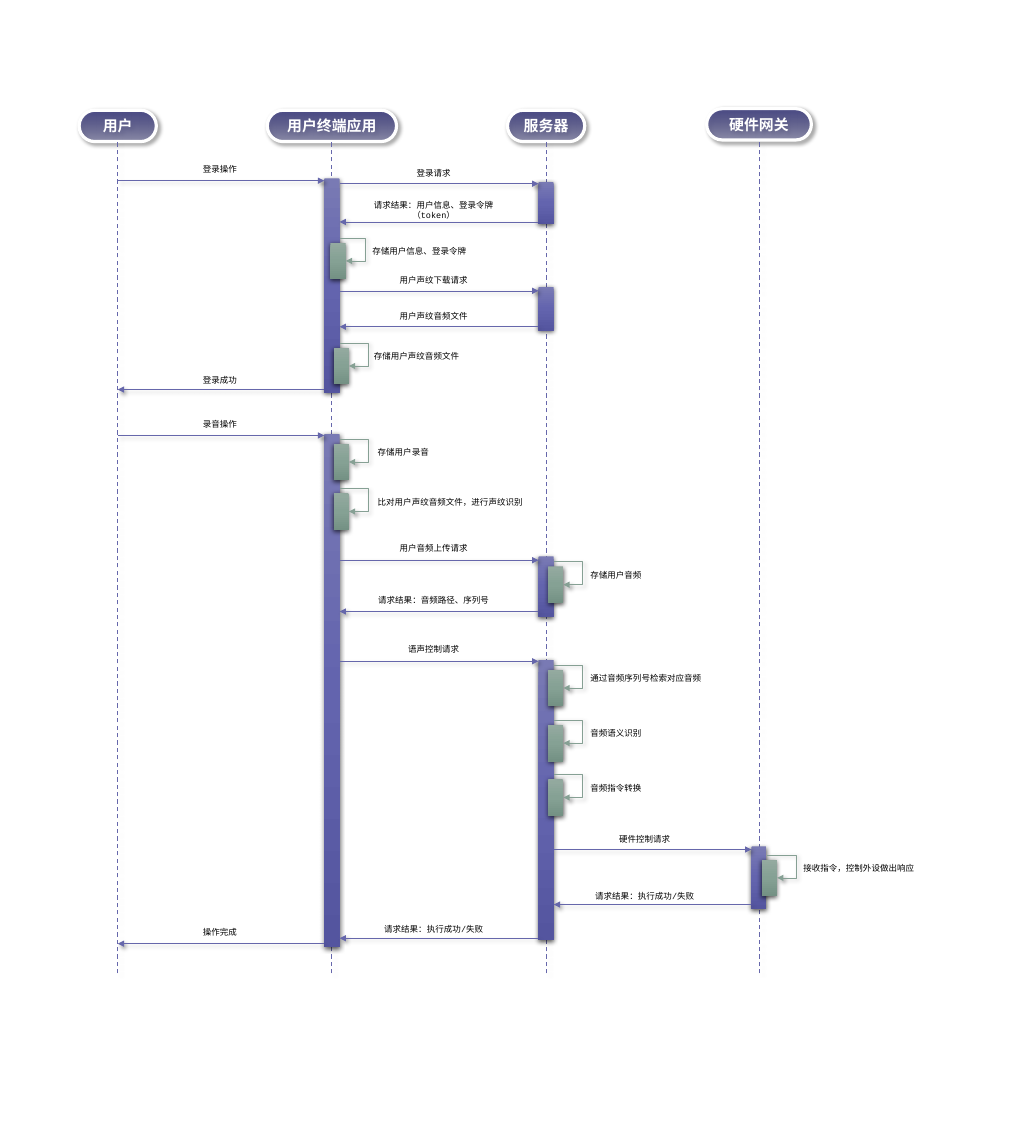
from dataclasses import dataclass

from lxml import etree
from pptx import Presentation
from pptx.dml.color import RGBColor
from pptx.enum import dml, shapes, text
from pptx.oxml.ns import qn
from pptx.util import Pt


@dataclass(frozen=True)
class Theme:
    font: str = "Courier New"
    header_size: float = 14
    label_size: float = 8
    white: str = "FFFFFF"
    ink: str = "000000"
    message: str = "6667AB"
    loop: str = "86A094"
    header_stops: tuple = ((0, "494984", 100), (100, "494984", 47))
    bar_stops: tuple = ((0, "797AB4", 100), (50, "6364AE", 100), (100, "54559F", 100))
    step_stops: tuple = ((0, "94AAA0", 100), (50, "85A194", 100), (100, "749184", 100))
    soft_shadow: tuple = (40, 4, 3, 45)
    bar_shadow: tuple = (63, 4.5, 1.5, 90)


@dataclass(frozen=True)
class Lane:
    name: str
    x: float
    top: float
    width: float
    label_dx: float = 0
    half: float = 7.2


T = Theme()
USER = Lane("用户", 110.8, 103.7, 72.7, 31.5, 0)
APP = Lane("用户终端应用", 312.4, 103.7, 121.7, 31)
SERVER = Lane("服务器", 514, 103.7, 72.7, 28)
GATEWAY = Lane("硬件网关", 714.4, 102.2, 98.6)
LANES = [USER, APP, SERVER, GATEWAY]
LANE_END = 915.8
HEADER_H = 29.5
BAR_W, STEP_H = 14.4, 34.6
LOOP_OUT, LOOP_RISE = 18, 4.3

BARS = [
    (APP, 167.8, 201.6),
    (APP, 408.2, 483.1),
    (SERVER, 171.4, 39.6),
    (SERVER, 270, 41),
    (SERVER, 523.4, 56.9),
    (SERVER, 620.6, 264.2),
    (GATEWAY, 796.3, 59),
]

MESSAGES = [
    (USER, APP, 170, 151.2, "登录操作"),
    (APP, SERVER, 172.8, 154.1, "登录请求"),
    (SERVER, APP, 208.8, 184.3, "请求结果：用户信息、登录令牌（token）"),
    (APP, SERVER, 273.6, 254.9, "用户声纹下载请求"),
    (SERVER, APP, 307.4, 288.7, "用户声纹音频文件"),
    (APP, USER, 366.5, 349.2, "登录成功"),
    (USER, APP, 409.7, 391, "录音操作"),
    (APP, SERVER, 527, 506.9, "用户音频上传请求"),
    (SERVER, APP, 575.3, 556.6, "请求结果：音频路径、序列号"),
    (APP, SERVER, 622.1, 601.9, "语声控制请求"),
    (SERVER, GATEWAY, 799.2, 781.2, "硬件控制请求"),
    (GATEWAY, SERVER, 851, 834.5, "请求结果：执行成功/失败"),
    (SERVER, APP, 882.7, 865.4, "请求结果：执行成功/失败"),
    (APP, USER, 887.8, 868.3, "操作完成"),
]

STEPS = [
    (APP, 228.2, -1.4, 31, "存储用户信息、登录令牌"),
    (APP, 327, 1.6, 32.4, "存储用户声纹音频文件"),
    (APP, 417.4, 1.6, 36, "存储用户录音"),
    (APP, 463.9, 1.6, 36, "比对用户声纹音频文件，进行声纹识别"),
    (SERVER, 532.8, 1.8, 34.6, "存储用户音频"),
    (SERVER, 630, 1.8, 34.6, "通过音频序列号检索对应音频"),
    (SERVER, 681.8, 1.8, 34.6, "音频语义识别"),
    (SERVER, 733, 1.8, 34.6, "音频指令转换"),
    (GATEWAY, 808.6, 2.6, 34.6, "接收指令，控制外设做出响应"),
]


def sub(parent, tag, **attrs):
    return etree.SubElement(parent, qn(tag), {k: str(v) for k, v in attrs.items()})


def add_color(parent, color, alpha):
    clr = sub(parent, "a:srgbClr", val=color)
    if alpha < 100:
        sub(clr, "a:alpha", val=alpha * 1000)


def add_shadow(effects, shadow):
    alpha, blur, dist, angle = shadow
    outer = sub(effects, "a:outerShdw", blurRad=Pt(blur), dist=Pt(dist),
                dir=angle * 60000, algn="ctr", rotWithShape=0)
    add_color(outer, T.ink, alpha)


def write(tf, content, size=T.label_size, color=T.ink, bold=False,
          align=text.PP_ALIGN.CENTER):
    p = tf.paragraphs[0]
    p.alignment = align
    r = p.add_run()
    r.text = content
    r.font.name = T.font
    r.font.size = Pt(size)
    r.font.bold = bold
    r.font.color.rgb = RGBColor.from_string(color)


def add_label(s, x, y, w, content, **fmt):
    sp = s.shapes.add_textbox(Pt(x), Pt(y), Pt(w), Pt(17.3))
    sp.text_frame.word_wrap = True
    sp.text_frame.auto_size = text.MSO_AUTO_SIZE.SHAPE_TO_FIT_TEXT
    write(sp.text_frame, content, **fmt)


def add_block(s, x, y, w, h, stops, shadow, radius=0.062):
    sp = s.shapes.add_shape(shapes.MSO_SHAPE.ROUNDED_RECTANGLE,
                            Pt(x), Pt(y), Pt(w), Pt(h))
    sp.adjustments[0] = radius
    sp.fill.gradient()
    sp.fill.gradient_angle = 270
    gradient = sp.element.spPr.find(qn("a:gradFill")).find(qn("a:gsLst"))
    for stop in list(gradient):
        gradient.remove(stop)
    for pos, color, alpha in stops:
        add_color(sub(gradient, "a:gs", pos=pos * 1000), color, alpha)
    sp.line.fill.background()
    sp.shadow.inherit = False
    add_shadow(sp.element.spPr.find(qn("a:effectLst")), shadow)
    return sp


def add_line(s, x1, y1, x2, y2, color=T.message, width=0.5, arrow=True,
             kind=shapes.MSO_CONNECTOR.STRAIGHT):
    c = s.shapes.add_connector(kind, Pt(x1), Pt(y1), Pt(x2), Pt(y2))
    c.line.color.rgb = RGBColor.from_string(color)
    c.line.width = Pt(width)
    if arrow:
        sub(c.line._get_or_add_ln(), "a:tailEnd", type="triangle")
    add_shadow(sub(c.element.spPr, "a:effectLst"), T.soft_shadow)
    return c


def add_lane(s, lane):
    sp = add_block(s, lane.x - lane.width / 2, lane.top, lane.width, HEADER_H,
                   T.header_stops, T.soft_shadow, radius=0.5)
    sp.line.color.rgb = RGBColor.from_string(T.white)
    sp.line.width = Pt(3)
    sp.text_frame.vertical_anchor = text.MSO_ANCHOR.MIDDLE
    write(sp.text_frame, lane.name, size=T.header_size, color=T.white, bold=True)
    c = add_line(s, lane.x, LANE_END, lane.x, lane.top + HEADER_H,
                 width=1, arrow=False)
    c.line.dash_style = dml.MSO_LINE.DASH
    c.end_connect(sp, 2)


def add_message(s, source, target, y, label_y, content):
    way = 1 if source.x < target.x else -1
    add_line(s, source.x + way * source.half, y, target.x - way * target.half, y)
    left = min(source, target, key=lambda lane: lane.x)
    add_label(s, left.x + left.label_dx, label_y, 129.6, content)


def add_step(s, lane, y, dx, label_dx, content):
    x, start = lane.x + dx, lane.x + lane.half
    sp = add_block(s, x, y, BAR_W, STEP_H, T.step_stops, T.bar_shadow)
    end = x + BAR_W
    c = add_line(s, start, y - LOOP_RISE, end, y + STEP_H / 2, color=T.loop,
                 kind=shapes.MSO_CONNECTOR.ELBOW)
    c.end_connect(sp, 3)
    bend = round((end + LOOP_OUT - start) / (end - start) * 100000)
    guides = c.element.spPr.find(qn("a:prstGeom")).find(qn("a:avLst"))
    sub(guides, "a:gd", name="adj1", fmla=f"val {bend}")
    add_label(s, lane.x + label_dx, y, 153.4, content, align=text.PP_ALIGN.JUSTIFY)


def main():
    prs = Presentation()
    prs.slide_width, prs.slide_height = Pt(960), Pt(1080)
    s = prs.slides.add_slide(prs.slide_layouts[6])
    for lane in LANES:
        add_lane(s, lane)
    for lane, y, h in BARS:
        add_block(s, lane.x - lane.half, y, BAR_W, h, T.bar_stops, T.bar_shadow)
    for message in MESSAGES:
        add_message(s, *message)
    for step in STEPS:
        add_step(s, *step)
    prs.save("out.pptx")


if __name__ == "__main__":
    main()
